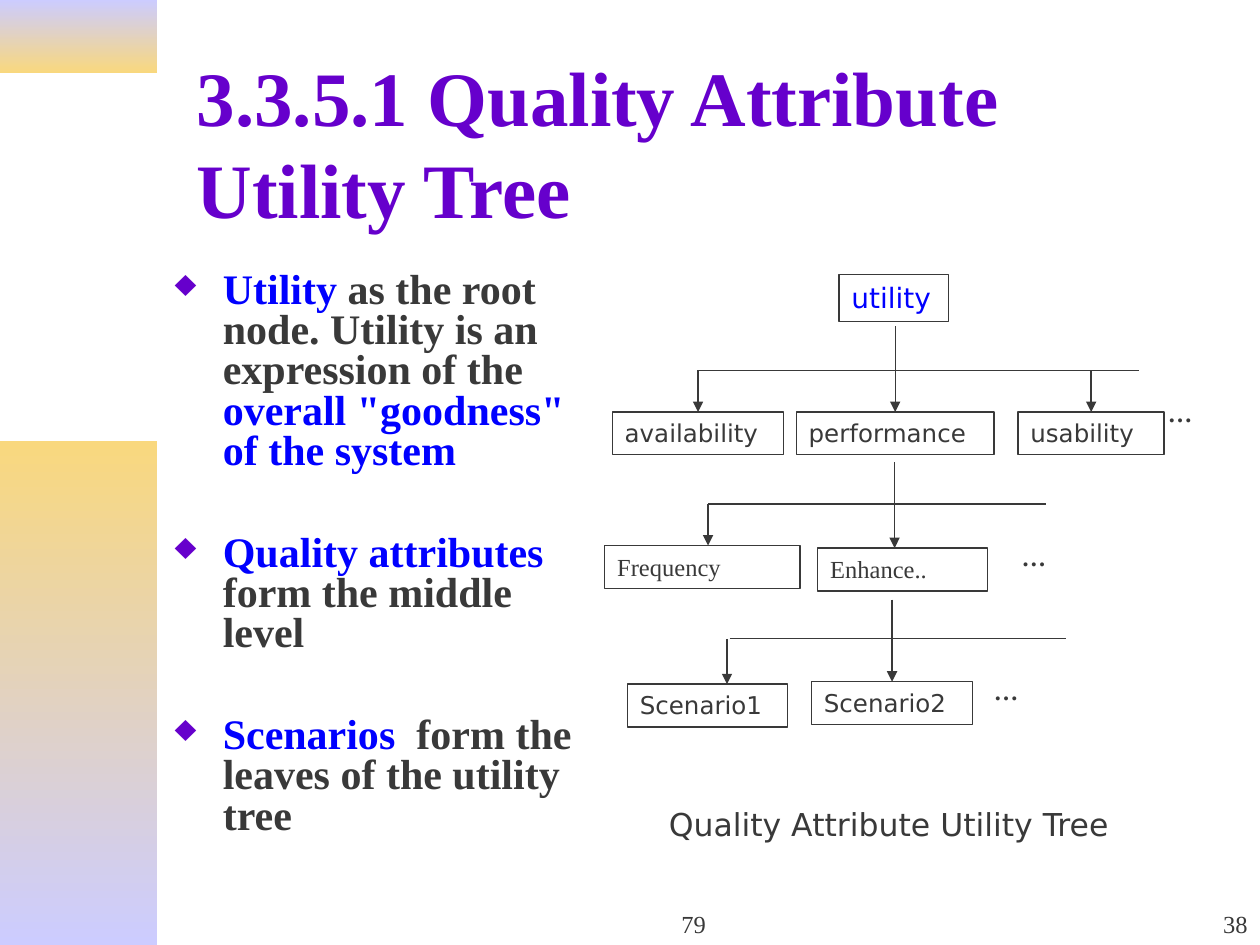
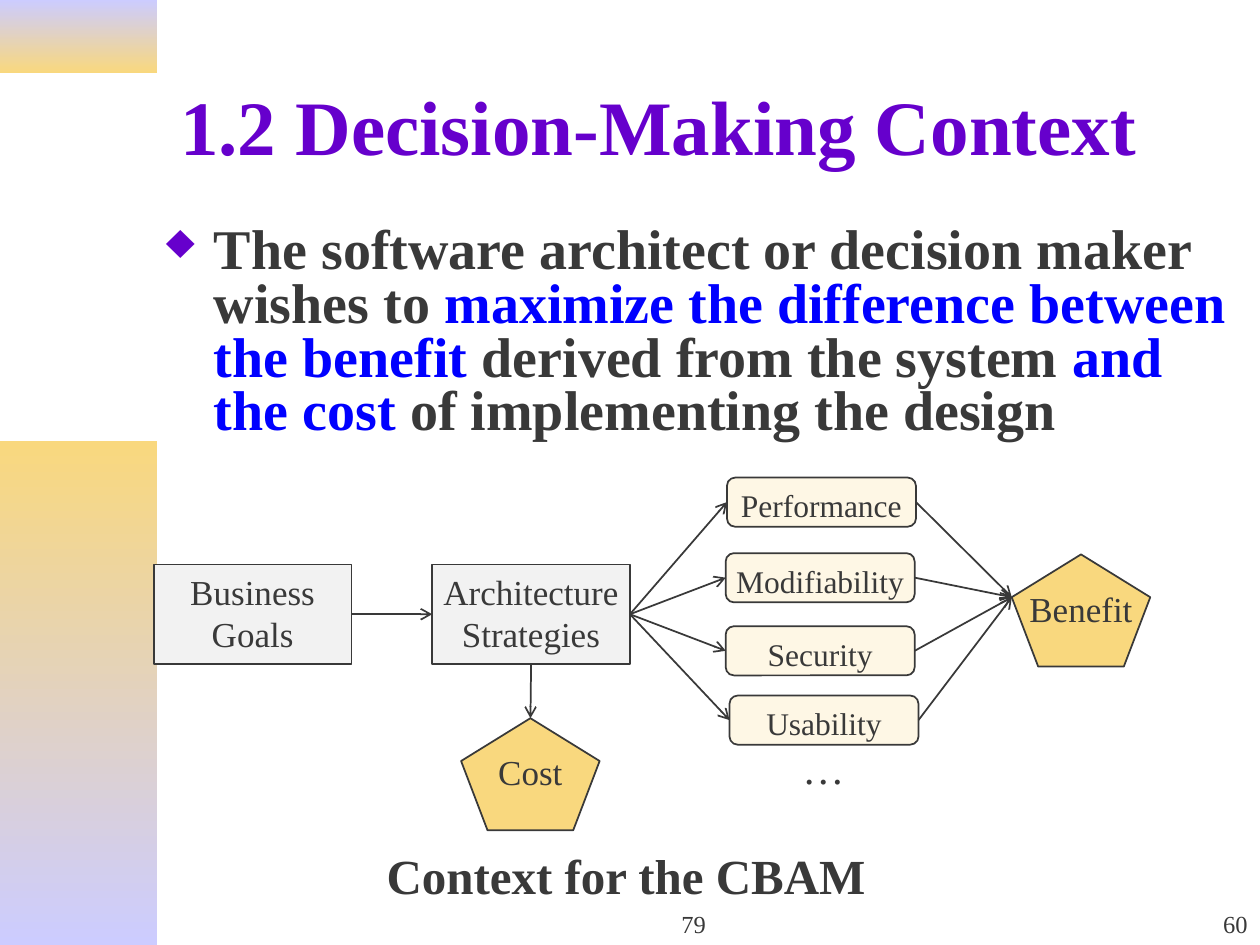
from dataclasses import dataclass

from lxml.etree import SubElement
from pptx import Presentation
from pptx.dml.color import RGBColor
from pptx.enum.shapes import MSO_CONNECTOR as Connector, MSO_SHAPE as Shape
from pptx.enum.text import MSO_ANCHOR as Anchor, PP_ALIGN as Align
from pptx.oxml.ns import qn
from pptx.util import Inches, Pt


@dataclass(frozen=True)
class Theme:
    """Colours, fonts and type sizes shared by the slides."""
    ink: str = "393939"
    title: str = "6600CC"
    accent: str = "0000FF"
    lavender: str = "CCCCFF"
    gold: str = "F9D87E"
    grey: str = "F2F2F2"
    cream: str = "FEF7E5"
    serif: str = "Times New Roman"
    sans: str = "DejaVu Sans"
    title_size: int = 44
    caption_size: int = 28
    large_size: int = 24
    step_size: int = 20
    label_size: int = 18
    root_size: int = 16
    small_size: int = 14


THEME = Theme()
TOP, LEFT, BOTTOM, RIGHT = 0, 1, 2, 3


def apply(target, values):
    """Set each named attribute on the target."""
    for name, value in values.items():
        setattr(target, name, value)


def inches(values):
    """Turn plain numbers into lengths."""
    return [Inches(value) for value in values]


def shifted(origin, box):
    """Move a box or point from region coordinates to the slide."""
    return (origin[0] + box[0], origin[1] + box[1], *box[2:])


def style_font(font, size, color=THEME.ink, name=THEME.serif, bold=False):
    """Format a font."""
    apply(font, {"size": Pt(size), "name": name, "bold": bold})
    font.color.rgb = RGBColor.from_string(color)


def write(shape, text, size, align=Align.LEFT, anchor=Anchor.TOP, wrap=True, **font):
    """Fill a shape with one paragraph per line of text."""
    frame = shape.text_frame
    apply(frame, {"text": text, "word_wrap": wrap, "vertical_anchor": anchor})
    for paragraph in frame.paragraphs:
        paragraph.alignment = align
        for run in paragraph.runs:
            style_font(run.font, size, **font)


def add_text(slide, box, text, size, **options):
    """Add a text box with uniform formatting."""
    write(slide.shapes.add_textbox(*inches(box)), text, size, **options)


def add_box(slide, kind, box, text, size, fill=None, weight=1, **options):
    """Add an outlined preset shape with a label."""
    shape = slide.shapes.add_shape(kind, *inches(box))
    shape.shadow.inherit = False
    if fill:
        shape.fill.solid()
        shape.fill.fore_color.rgb = RGBColor.from_string(fill)
    else:
        shape.fill.background()
    shape.line.color.rgb = RGBColor.from_string(THEME.ink)
    shape.line.width = Pt(weight)
    write(shape, text, size, **options)
    return shape


def add_line(slide, start, end, head=None, weight=1, source=None, target=None):
    """Add a line, with an optional arrowhead and joined ends."""
    line = slide.shapes.add_connector(Connector.STRAIGHT, *inches((*start, *end)))
    line.line.color.rgb = RGBColor.from_string(THEME.ink)
    line.line.width = Pt(weight)
    if head:
        SubElement(line.line._get_or_add_ln(), qn("a:tailEnd"), type=head)
    SubElement(line._element.spPr, qn("a:effectLst"))
    if source:
        line.begin_connect(*source)
    if target:
        line.end_connect(*target)


def add_bands(slide):
    """Draw the two gradient bands of the left margin."""
    for top, height, colors in ((0, 0.58, (THEME.lavender, THEME.gold)),
                                (3.5, 4, (THEME.gold, THEME.lavender))):
        band = slide.shapes.add_shape(Shape.RECTANGLE, *inches((0, top, 1.25, height)))
        band.shadow.inherit = False
        band.line.fill.background()
        band.fill.gradient()
        band.fill.gradient_angle = 270
        for position, (stop, color) in enumerate(zip(band.fill.gradient_stops, colors)):
            stop.position = position
            stop.color.rgb = RGBColor.from_string(color)


def add_frame(presentation, title, title_box, number):
    """Start a slide with its bands, title and footers."""
    slide = presentation.slides.add_slide(presentation.slide_layouts[5])
    add_bands(slide)
    apply(slide.shapes.title, dict(zip(("left", "top", "width", "height"), inches(title_box))))
    write(slide.shapes.title, title, THEME.title_size, anchor=Anchor.MIDDLE,
          color=THEME.title, bold=True)
    for box, text, align in (((3.92, 7, 3.17, 0.5), "79", Align.CENTER),
                             ((7.92, 7, 2.08, 0.5), number, Align.RIGHT)):
        add_text(slide, box, text, THEME.small_size, align=align, anchor=Anchor.BOTTOM)
    return slide


def add_bullets(slide, box, items, size, gap=0):
    """Write bulleted paragraphs of (text, colour) runs."""
    frame = slide.shapes.add_textbox(*inches(box)).text_frame
    frame.word_wrap = True
    for index, runs in enumerate(items):
        paragraph = frame.add_paragraph() if index else frame.paragraphs[0]
        properties = paragraph._p.get_or_add_pPr()
        properties.set("marL", str(Inches(0.38)))
        properties.set("indent", str(-Inches(0.38)))
        SubElement(SubElement(properties, qn("a:buClr")), qn("a:srgbClr"), val=THEME.title)
        SubElement(properties, qn("a:buSzPct"), val="90000")
        SubElement(properties, qn("a:buChar"), char="♦")
        apply(paragraph, {"line_spacing": 0.8, "space_before": Pt(gap if index else 0)})
        for text, color in runs:
            run = paragraph.add_run()
            run.text = text
            style_font(run.font, size, color, bold=True)


def add_level(slide, origin, trunk_top, bar, nodes, ellipsis, font):
    """Draw one tree level: crossbar, arrows, nodes and an ellipsis."""
    trunk, (bar_left, bar_right, bar_y) = 2.3, bar
    add_line(slide, shifted(origin, (bar_left, bar_y)), shifted(origin, (bar_right, bar_y)),
             weight=0.75)
    for text, left, top, width, drop in nodes:
        node = add_box(slide, Shape.RECTANGLE, shifted(origin, (left, top, width, 0.34)), text,
                       THEME.small_size, weight=0.75, name=font)
        middle = left + width / 2
        joined = abs(drop - middle) < 0.04
        start = trunk_top if drop == trunk else bar_y
        x = middle if joined else drop
        add_line(slide, shifted(origin, (x, start)), shifted(origin, (x, top)), "triangle", 0.75,
                 target=(node, TOP) if joined else None)
    add_text(slide, shifted(origin, (*ellipsis, 0.6, 0.34)), "…", THEME.small_size, bold=True)


def add_utility_tree(slide, origin):
    """Draw the utility tree with its caption."""
    add_box(slide, Shape.RECTANGLE, shifted(origin, (1.86, 0, 0.87, 0.37)), "utility",
            THEME.root_size, weight=0.75, color=THEME.accent, name=THEME.sans)
    levels = (
        (0.41, (0.75, 4.24, 0.76),
         (("availability", 0.06, 1.09, 1.36, 0.74), ("performance", 1.52, 1.09, 1.57, 2.3),
          ("usability", 3.28, 1.09, 1.16, 3.83)), (4.37, 0.93), THEME.sans),
        (1.49, (0.82, 3.5, 1.82),
         (("Frequency", 0, 2.15, 1.55, 0.82), ("Enhance..", 1.69, 2.17, 1.35, 2.3)),
         (3.21, 2.07), THEME.serif),
        (2.58, (0.99, 3.66, 2.89),
         (("Scenario1", 0.18, 3.25, 1.27, 0.97), ("Scenario2", 1.64, 3.23, 1.28, 2.3)),
         (2.99, 3.14), THEME.sans),
    )
    for level in levels:
        add_level(slide, origin, *level)
    add_text(slide, shifted(origin, (0.41, 4.16, 3.83, 0.4)), "Quality Attribute Utility Tree",
             THEME.label_size, name=THEME.sans)


def add_decision_flow(slide, origin):
    """Draw the flow from business goals to cost and benefit."""
    centred = {"align": Align.CENTER, "wrap": False}
    goals, strategies = (
        add_box(slide, Shape.RECTANGLE, shifted(origin, (left, 0.69, 1.57, 0.79)), text,
                THEME.step_size, THEME.grey, **centred)
        for left, text in ((0, "Business\nGoals"), (2.21, "Architecture\nStrategies")))
    benefit, cost = (
        add_box(slide, Shape.REGULAR_PENTAGON, shifted(origin, (left, top, 1.1, 0.89)), text,
                THEME.step_size, THEME.gold, **centred)
        for left, top, text in ((6.81, 0.61, "Benefit"), (2.44, 1.91, "Cost")))
    add_line(slide, origin, origin, "arrow", source=(goals, RIGHT), target=(strategies, LEFT))
    add_line(slide, origin, origin, "arrow", source=(strategies, BOTTOM), target=(cost, TOP))
    benefit_corner = shifted(origin, (6.81, 0.95))
    for text, left, top in (("Performance", 4.55, 0), ("Modifiability", 4.54, 0.6),
                            ("Security", 4.54, 1.18), ("Usability", 4.57, 1.73)):
        quality = add_box(slide, Shape.ROUNDED_RECTANGLE, shifted(origin, (left, top, 1.5, 0.39)),
                          text, THEME.label_size, THEME.cream, **centred)
        add_line(slide, origin, origin, "arrow", source=(strategies, RIGHT), target=(quality, LEFT))
        add_line(slide, origin, benefit_corner, "arrow", source=(quality, RIGHT))
    add_text(slide, shifted(origin, (5.05, 2.05, 0.53, 0.5)), "…", THEME.large_size, wrap=False)
    add_text(slide, shifted(origin, (1.75, 2.87, 4, 0.57)), "Context for the CBAM",
             THEME.caption_size, wrap=False, bold=True)


def build_tree_slide(presentation):
    """Build the quality attribute utility tree slide."""
    slide = add_frame(presentation, "3.3.5.1 Quality Attribute Utility Tree",
                      (1.46, 0.5, 8.11, 1.25), "38")
    items = (
        (("Utility ", THEME.accent),
         ("as the root node. Utility is an expression of the ", THEME.ink),
         ("overall \"goodness\" of the system", THEME.accent)),
        (("Quality attributes ", THEME.accent), ("form the middle level", THEME.ink)),
        (("Scenarios ", THEME.accent), (" form the leaves of the utility tree", THEME.ink)),
    )
    add_bullets(slide, (1.29, 2.11, 3.58, 4.96), items, THEME.large_size, gap=35)
    add_utility_tree(slide, (4.8, 2.18))


def build_context_slide(presentation):
    """Build the decision-making context slide."""
    slide = add_frame(presentation, "1.2 Decision-Making Context", (1.33, 0.33, 8.5, 1.32), "60")
    items = ((
        ("The software architect or decision maker wishes to ", THEME.ink),
        ("maximize the difference between the benefit", THEME.accent),
        (" derived from the system ", THEME.ink),
        ("and the cost ", THEME.accent),
        ("of implementing the design", THEME.ink),
    ),)
    add_bullets(slide, (1.22, 1.75, 8.66, 1.96), items, 32)
    add_decision_flow(slide, (1.22, 3.79))


def main():
    """Build and save the presentation."""
    presentation = Presentation()
    apply(presentation, {"slide_width": Inches(10), "slide_height": Inches(7.5)})
    build_tree_slide(presentation)
    build_context_slide(presentation)
    presentation.save("out.pptx")


if __name__ == "__main__":
    main()
